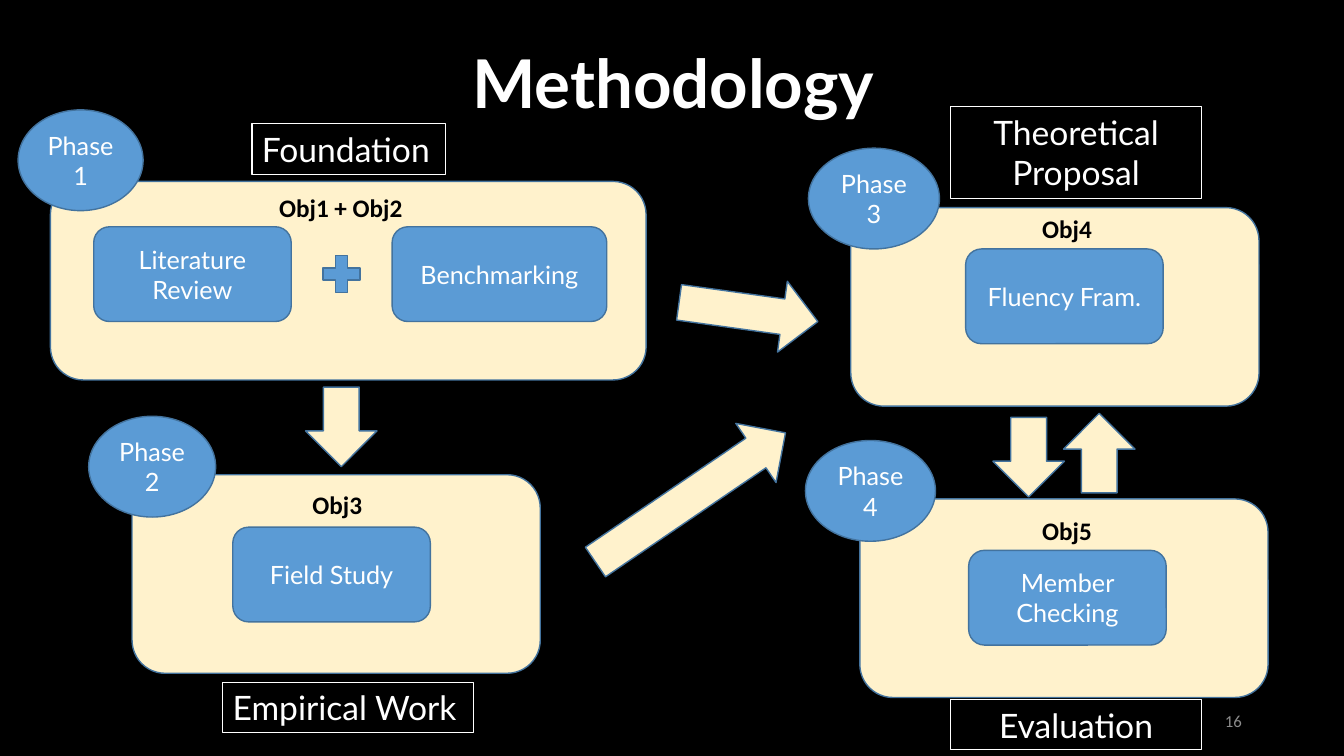
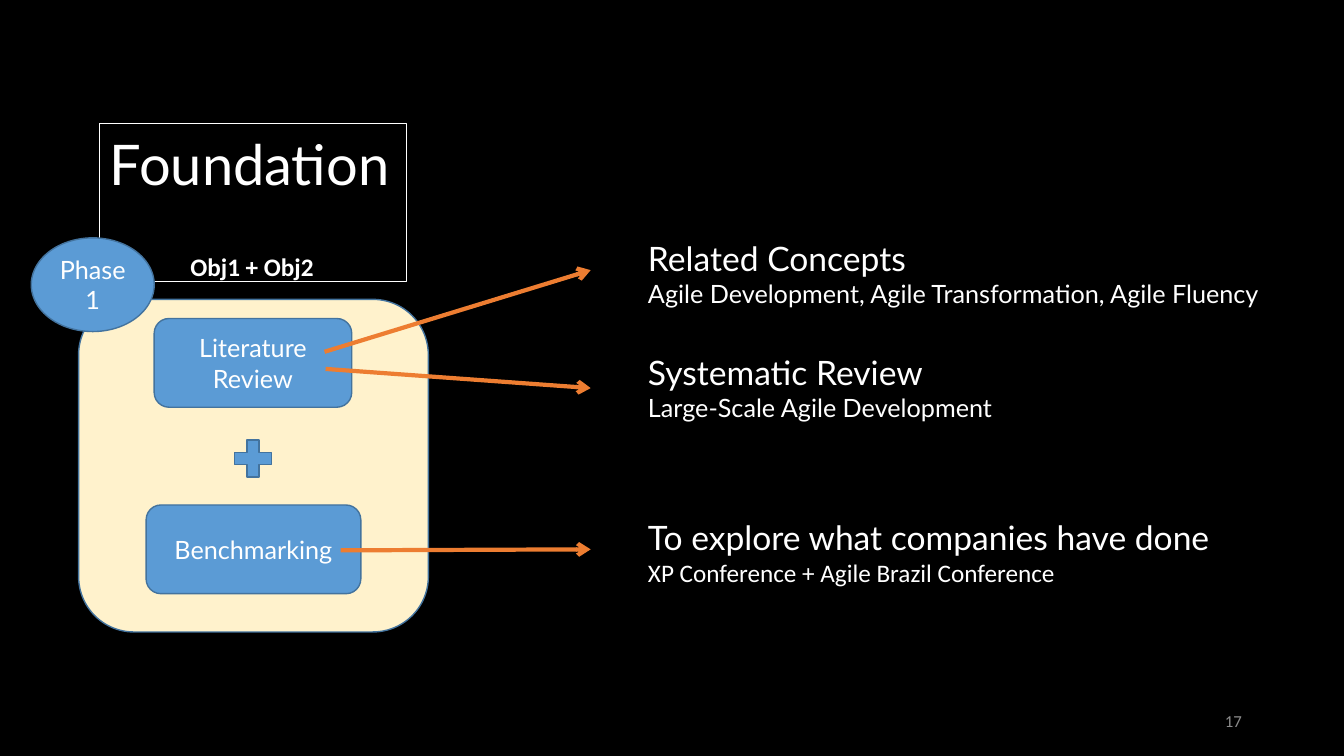
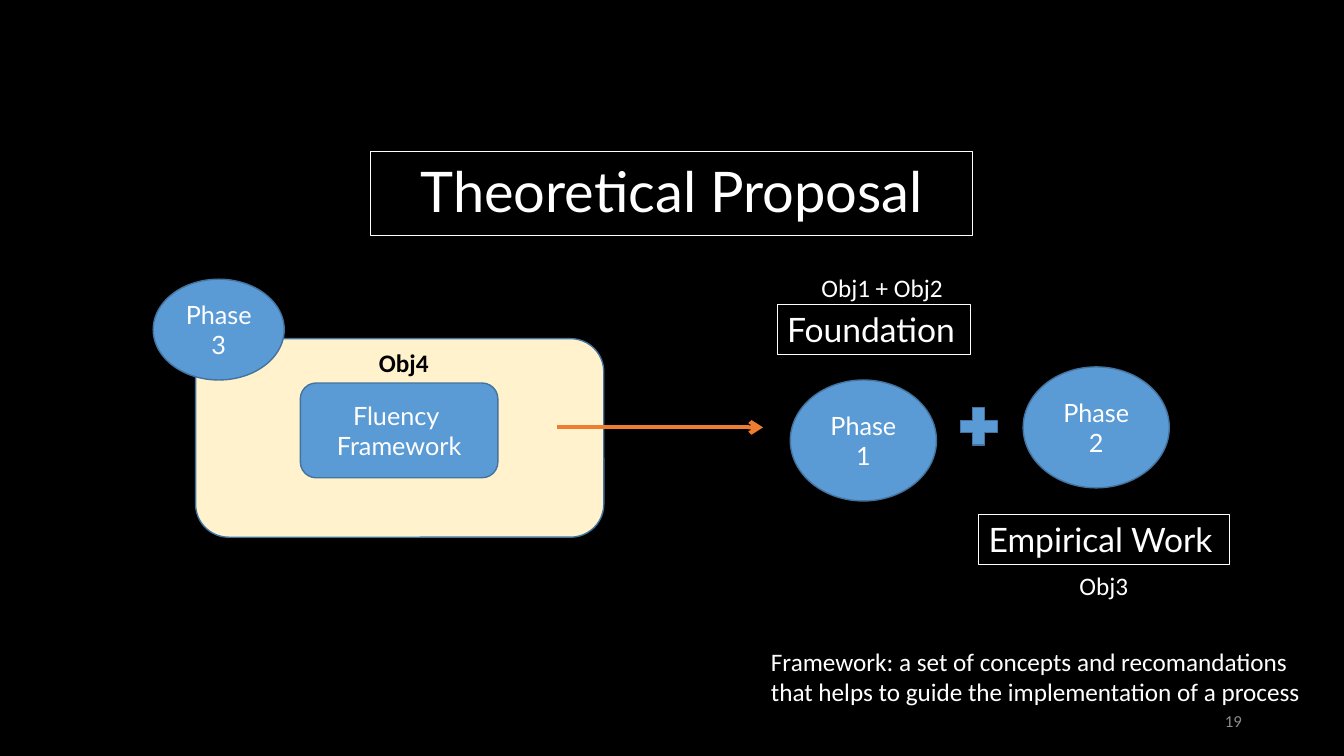
import lxml.etree
import pptx
import pptx.dml.color
import pptx.enum.shapes
import pptx.enum.text
import pptx.oxml.ns
import pptx.util

SHAPE = pptx.enum.shapes.MSO_SHAPE
ALIGN = pptx.enum.text.PP_ALIGN
ANCHOR = pptx.enum.text.MSO_ANCHOR
FIT = pptx.enum.text.MSO_AUTO_SIZE

# Boxes are (left, top, width, height) on a grid of 133.33 columns by 75 rows.
CELL = pptx.util.Inches(0.1)
COLUMNS, ROWS = 133.33, 75

BLACK, WHITE, GREY = "000000", "FFFFFF", "8C8C8C"
BLUE, EDGE, CREAM, ORANGE = "5B9BD5", "43739E", "FFF2CC", "ED7D31"

HEADING = {"name": "Lato", "size": 24}
BODY = {"name": "Lato", "size": 18}
PLAIN = {"name": "Calibri", "size": 18}
OBJECTIVE = {**PLAIN, "bold": True}
BANNER = {"name": "Lato", "size": 40}
TITLE = {"name": "Lato", "size": 48, "bold": True}
NUMBER = {"name": "Calibri", "size": 12}

CENTRED = {"word_wrap": True, "auto_size": FIT.NONE, "vertical_anchor": ANCHOR.MIDDLE}
BOXED = {"word_wrap": True, "auto_size": FIT.SHAPE_TO_FIT_TEXT, "vertical_anchor": ANCHOR.TOP}
UNWRAPPED = {**BOXED, "word_wrap": False}

TASK_WIDTH, TASK_HEIGHT = 19.6, 9.4
PANEL_WIDTH, PANEL_HEIGHT = 40.5, 19.7


def cells(*lengths):
    return [round(length * CELL) for length in lengths]


def colour(value):
    return pptx.dml.color.RGBColor.from_string(value)


def inside(box, left, top, width, height):
    """Turn a box measured from the corner of another into a slide box."""
    return box[0] + left, box[1] + top, width, height


def assign(target, settings):
    for name, value in settings.items():
        setattr(target, name, value)


def outline(shape, value, width):
    shape.line.color.rgb = colour(value)
    shape.line.width = pptx.util.Pt(width)


def write(shape, lines, frame, align=ALIGN.LEFT, ink=WHITE, spacing=1.0):
    """Fill a shape with (text, font settings) lines, one paragraph each."""
    text_frame = shape.text_frame
    assign(text_frame, frame)
    for index, (text, settings) in enumerate(lines):
        para = text_frame.add_paragraph() if index else text_frame.paragraphs[0]
        assign(para, {"alignment": align, "line_spacing": spacing})
        span = para.add_run()
        span.text = text
        assign(span.font, {**settings, "size": pptx.util.Pt(settings["size"])})
        span.font.color.rgb = colour(ink)


def draw(page, kind, box, fill, turn=0):
    shape = page.shapes.add_shape(kind, *cells(*box))
    shape.shadow.inherit = False
    shape.rotation = turn
    shape.fill.solid()
    shape.fill.fore_color.rgb = colour(fill)
    outline(shape, EDGE, 1)
    return shape


def note(page, box, lines, frame=UNWRAPPED, **layout):
    shape = page.shapes.add_textbox(*cells(*box))
    write(shape, lines, frame, **layout)
    return shape


def caption(page, box, text, align=ALIGN.LEFT):
    """Name a phase in a white outlined box."""
    outline(note(page, box, [(text, HEADING)], BOXED, align=align), WHITE, 0.75)


def badge(page, box, number):
    shape = draw(page, SHAPE.OVAL, box, BLUE)
    write(shape, [(f"Phase {number}", BODY)], CENTRED, ALIGN.CENTER)


def plus(page, left, top):
    draw(page, SHAPE.MATH_PLUS, (left, top, 5, 5), BLUE)


def block_arrow(page, box, turn):
    draw(page, SHAPE.RIGHT_ARROW, box, CREAM, turn)


def pointer(page, start, end):
    """Draw an orange line with an open arrowhead."""
    line = page.shapes.add_connector(
        pptx.enum.shapes.MSO_CONNECTOR.STRAIGHT, *cells(*start, *end))
    outline(line, ORANGE, 3)
    qn = pptx.oxml.ns.qn
    properties = line.element.spPr
    lxml.etree.SubElement(properties.find(qn("a:ln")), qn("a:tailEnd"), type="arrow")
    lxml.etree.SubElement(properties, qn("a:effectLst"))


def panel(page, box, phase, badge_box, objective, objective_box, tasks, ink=BLACK):
    """Draw a phase: cream panel, badge, objective and its (text, box) tasks."""
    draw(page, SHAPE.ROUNDED_RECTANGLE, box, CREAM)
    for text, task_box in tasks:
        task = draw(page, SHAPE.ROUNDED_RECTANGLE, inside(box, *task_box), BLUE)
        write(task, [(part, BODY) for part in text.split("\n")], CENTRED, ALIGN.CENTER)
    badge(page, inside(box, *badge_box), phase)
    note(page, inside(box, *objective_box), [(objective, OBJECTIVE)], ink=ink)


def single_panel(page, corner, phase, badge_box, objective, label_at, task, task_at):
    """Draw a panel of the standard size that holds one task."""
    panel(page, (*corner, PANEL_WIDTH, PANEL_HEIGHT), phase, badge_box,
          objective, (*label_at, 7, 4),
          [(task, (*task_at, TASK_WIDTH, TASK_HEIGHT))])


def new_page(deck, number, title, box, settings, frame, align, spacing=1.0):
    page = deck.slides.add_slide(deck.slide_layouts.get_by_name("Title Only"))
    heading = page.shapes.title
    names = ("left", "top", "width", "height")
    assign(heading, dict(zip(names, cells(*box))))
    write(heading, [(title, settings)], frame, align, spacing=spacing)
    note(page, (94.2, 69.5, 30, 4), [(str(number), NUMBER)], CENTRED,
         align=ALIGN.RIGHT, ink=GREY)
    return page


def banner_page(deck, number, title, box, align):
    """Start a page whose title stands in a white outlined box."""
    page = new_page(deck, number, title, box, BANNER, BOXED, align)
    outline(page.shapes.title, WHITE, 0.75)
    return page


def methodology(deck):
    page = new_page(deck, 16, "Methodology", (9.3, 1.4, 115, 14.5), TITLE,
                    CENTRED, ALIGN.CENTER, 0.9)
    foundation = (5, 18, 59.1, PANEL_HEIGHT)
    panel(page, foundation, 1, (-3.2, -7.1, 12.4, 10), "Obj1 + Obj2", (21.7, 0.6, 14.4, 4),
          [("Literature Review", (4.3, 4.5, TASK_WIDTH, TASK_HEIGHT)),
           ("Benchmarking", (33.9, 4.5, 21.3, TASK_HEIGHT))])
    plus(page, 31.4, 24.7)
    for phase in (
        ((13.1, 47.1), 2, (-4.3, -5.8, 12.6, 10), "Obj3", (16.9, 1),
         "Field Study", (10, 5.2)),
        ((84.4, 20.6), 3, (-4.2, -5.9, 13, 10), "Obj4", (18, 0.1),
         "Fluency Fram.", (11.4, 4.1)),
        ((85.3, 49.5), 4, (-5.4, -5.8, 12.9, 10), "Obj5", (17.1, 1.1),
         "Member Checking", (10.8, 5.1)),
    ):
        single_panel(page, *phase)
    for left, top, length, turn in (
        (29.9, 38.8, 7.9, 90), (67.3, 27.4, 13.9, 7.9), (57.1, 45.8, 22.8, 325.8),
        (98.1, 41.8, 7.9, 90), (105.1, 41.4, 7.9, 270),
    ):
        block_arrow(page, (left, top, length, 7.1), turn)
    caption(page, (25, 12.3, 19.2, 5), "Foundation")
    caption(page, (22.1, 67.7, 24.9, 5), "Empirical Work")
    caption(page, (94.3, 10.6, 24.9, 9.1), "Theoretical Proposal", ALIGN.CENTER)
    caption(page, (94.3, 69.4, 24.9, 5), "Evaluation", ALIGN.CENTER)


def foundation_page(deck):
    page = banner_page(deck, 17, "Foundation", (9.9, 12.3, 30.4, 7.7), ALIGN.LEFT)
    panel(page, (7.8, 29.7, 34.7, 33), 1, (-4.7, -6.1, 12.2, 9.3),
          "Obj1 + Obj2", (10.1, -5.3, 14.4, 4),
          [("Literature Review", (7.5, 1.9, TASK_WIDTH, 8.8)),
           ("Benchmarking", (6.7, 20.4, 21.3, 8.8))], WHITE)
    plus(page, 22.6, 43)
    for start, end_row, top, width, heading, detail, detail_font in (
        ((32.2, 34.9), 26.8, 23.1, 63.8, "Related Concepts",
         "Agile Development, Agile Transformation, Agile Fluency", BODY),
        ((32.3, 36.6), 38.5, 34.4, 36.9, "Systematic Review",
         "Large-Scale Agile Development", BODY),
        ((33.8, 54.6), 54.5, 50.8, 59.3, "To explore what companies have done",
         "XP Conference + Agile Brazil Conference", PLAIN),
    ):
        pointer(page, start, (58.6, end_row))
        note(page, (63.3, top, width, 8.1), [(heading, HEADING), (detail, detail_font)])


def proposal_page(deck):
    page = banner_page(deck, 19, "Theoretical Proposal", (36.8, 15, 59.7, 7.7),
                       ALIGN.CENTER)
    single_panel(page, (19.4, 33.6), 3, (-4.2, -5.9, 13, 10), "Obj4", (17.2, 0.4),
                 "Fluency \nFramework", (10.4, 4.4))
    pointer(page, (55.3, 42.4), (75.7, 42.4))
    badge(page, (78.4, 37.7, 14.5, 12), 1)
    plus(page, 94.6, 39.8)
    badge(page, (101.5, 36.4, 14.5, 12), 2)
    caption(page, (77.1, 30.2, 19.2, 5), "Foundation")
    caption(page, (97.1, 51, 24.9, 5), "Empirical Work")
    note(page, (80.5, 26.5, 14.2, 4), [("Obj1 + Obj2", PLAIN)])
    note(page, (106.1, 56.1, 6.9, 4), [("Obj3", PLAIN)])
    note(page, (75.5, 63.6, 55.7, 7.1),
         [("Framework: a set of concepts and recomandations", PLAIN),
          ("that helps to guide the implementation of a process", PLAIN)])


def main():
    deck = pptx.Presentation()
    deck.slide_width, deck.slide_height = cells(COLUMNS, ROWS)
    backdrop = deck.slide_master.background.fill
    backdrop.solid()
    backdrop.fore_color.rgb = colour(BLACK)
    for build in (methodology, foundation_page, proposal_page):
        build(deck)
    deck.save("out.pptx")


if __name__ == "__main__":
    main()
